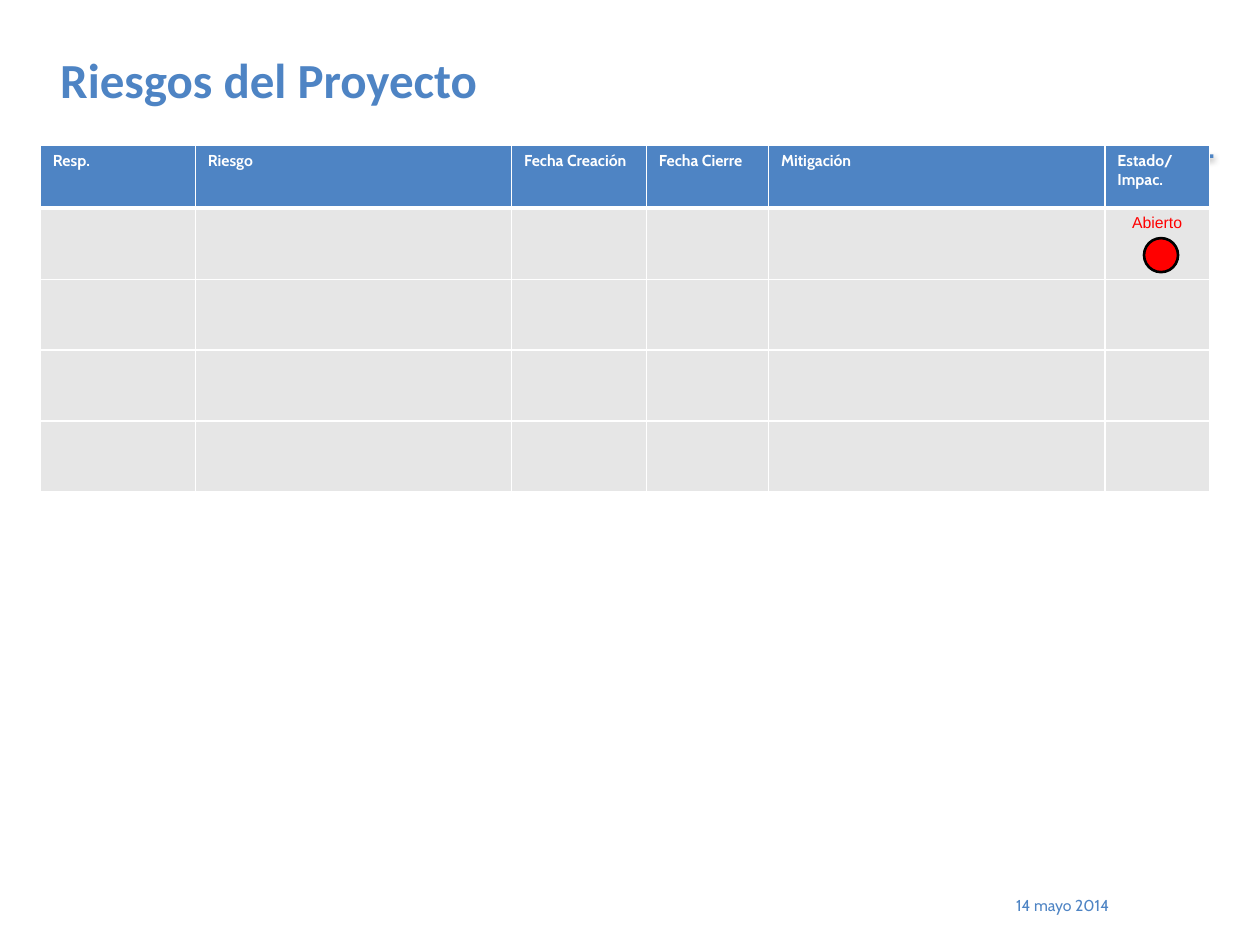
from lxml import etree
from pptx import Presentation
from pptx.dml.color import RGBColor
from pptx.enum.shapes import MSO_CONNECTOR, MSO_SHAPE
from pptx.enum.text import MSO_ANCHOR, PP_ALIGN
from pptx.oxml import parse_xml
from pptx.oxml.ns import nsdecls, qn
from pptx.util import Inches, Pt

BLUE, WHITE, GREY, RED, BLACK = "4E84C4", "FFFFFF", "E6E6E6", "FF0000", "000000"
TITLE = "Riesgos del Proyecto"
DATE = "14 mayo 2014"
HEADERS = [["Resp."], ["Riesgo"], ["Fecha Creación"], ["Fecha Cierre"],
           ["Mitigación"], ["Estado/", "Impac."]]
STATUS = "Abierto"
COLUMN_WIDTHS = [1.23, 2.51, 1.07, 0.97, 2.67, 0.83]
ROW_HEIGHTS = [0.5, 0.57, 0.56, 0.56, 0.56]


def color(value):
    return RGBColor.from_string(value)


def box(*values):
    return [Inches(value) for value in values]


def write(frame, lines, size, font, ink, bold=False, align=PP_ALIGN.LEFT):
    for index, line in enumerate(lines):
        paragraph = frame.add_paragraph() if index else frame.paragraphs[0]
        paragraph.alignment = align
        run = paragraph.add_run()
        run.text = line
        run.font.size, run.font.name, run.font.bold = Pt(size), font, bold
        run.font.color.rgb = color(ink)


def add_text(slide, place, text, size, font, ink, anchor, **style):
    frame = slide.shapes.add_textbox(*box(*place)).text_frame
    frame.word_wrap = True
    frame.vertical_anchor = anchor
    write(frame, [text], size, font, ink, **style)


def set_borders(cell, widths):
    properties = cell._tc.get_or_add_tcPr()
    for index, (side, width) in enumerate(widths.items()):
        border = parse_xml(
            f'<a:ln{side} {nsdecls("a")} w="{Pt(width)}"><a:solidFill>'
            f'<a:srgbClr val="{WHITE}"/></a:solidFill></a:ln{side}>')
        properties.insert(index, border)


def add_rule(slide):
    rule = slide.shapes.add_connector(MSO_CONNECTOR.STRAIGHT, *box(0.37, 1.3, 9.63, 1.24))
    rule.line.color.rgb = color(BLUE)
    rule.line.width = Pt(2)
    effects = etree.SubElement(rule._element.spPr, qn("a:effectLst"))
    effects.append(parse_xml(
        f'<a:outerShdw {nsdecls("a")} blurRad="{Pt(3.1)}" dist="{Pt(1.6)}" dir="5400000" '
        f'rotWithShape="0"><a:srgbClr val="{BLACK}"><a:alpha val="38000"/></a:srgbClr>'
        '</a:outerShdw>'))


def add_risk_table(slide):
    table = slide.shapes.add_table(
        len(ROW_HEIGHTS), len(COLUMN_WIDTHS),
        *box(0.32, 1.15, sum(COLUMN_WIDTHS), sum(ROW_HEIGHTS))).table
    for column, width in zip(table.columns, COLUMN_WIDTHS):
        column.width = Inches(width)
    for index, (row, height) in enumerate(zip(table.rows, ROW_HEIGHTS)):
        row.height = Inches(height)
        for cell in row.cells:
            cell.fill.solid()
            cell.fill.fore_color.rgb = color(GREY if index else BLUE)
            set_borders(cell, {"L": 1, "R": 1, "T": 3 if index == 1 else 1,
                               "B": 1 if index else 3})
    for cell, lines in zip(table.rows[0].cells, HEADERS):
        write(cell.text_frame, lines, 9, "Cabin", WHITE, bold=True)
    write(table.cell(1, len(HEADERS) - 1).text_frame, [STATUS], 9, "Arial", RED,
          align=PP_ALIGN.CENTER)


def add_status_light(slide):
    light = slide.shapes.add_shape(MSO_SHAPE.OVAL, *box(9.08, 1.89, 0.27, 0.27))
    light.shadow.inherit = False
    light.fill.solid()
    light.fill.fore_color.rgb = color(RED)
    light.line.color.rgb = color(BLACK)
    light.line.width = Pt(1.5)


def main():
    presentation = Presentation()
    presentation.slide_width, presentation.slide_height = box(10, 7.5)
    slide = presentation.slides.add_slide(presentation.slide_layouts[6])
    add_text(slide, (7.35, 7.06, 1.55, 0.35), DATE, 9, "Cabin", BLUE, MSO_ANCHOR.TOP,
             align=PP_ALIGN.RIGHT)
    add_rule(slide)
    add_risk_table(slide)
    add_status_light(slide)
    add_text(slide, (0.38, 0.3, 9.23, 0.65), TITLE, 28, "Calibri", BLUE, MSO_ANCHOR.MIDDLE,
             bold=True)
    presentation.save("out.pptx")


if __name__ == "__main__":
    main()
